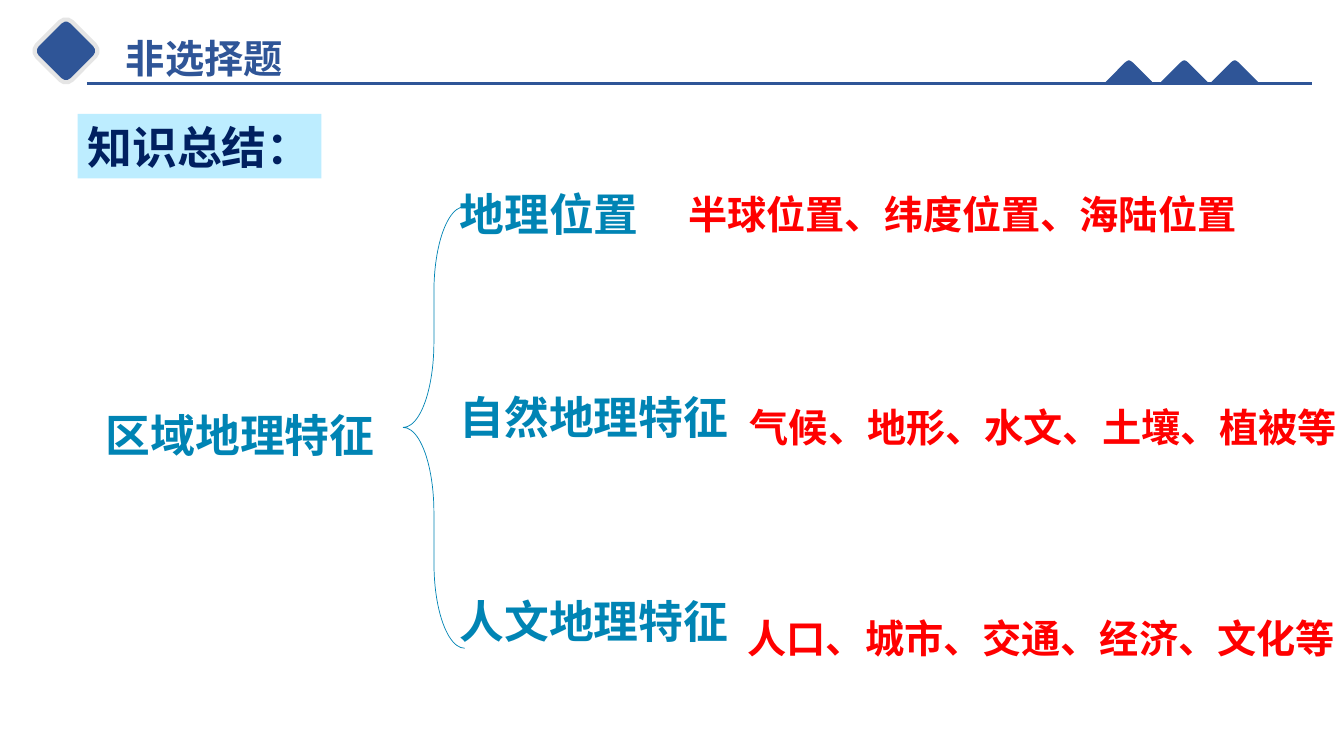
from lxml import etree
from pptx import Presentation
from pptx import util as u
from pptx.dml.color import RGBColor
from pptx.enum import shapes, text
from pptx.oxml.ns import qn

COLORS = {"blue": "2F5597", "grey": "E5E5E5", "teal": "0084B4", "pale": "BDEDFF",
          "navy": "002060", "red": "FF0000"}


class Board:
    """Hold the current slide and its style, and draw each kind of element."""

    def __init__(self, slide, font="Noto Sans CJK SC"):
        self.slide = slide
        self.font = font

    def color(self, name):
        return RGBColor.from_string(COLORS[name])

    def set_text(self, shape, lines, size, color, font=None, gap=0, spacing=None,
                 wrap=True, anchor=text.MSO_ANCHOR.TOP):
        frame = shape.text_frame
        frame.word_wrap = wrap
        frame.auto_size = text.MSO_AUTO_SIZE.NONE
        frame.vertical_anchor = anchor
        for index, line in enumerate(lines):
            paragraph = frame.add_paragraph() if index else frame.paragraphs[0]
            paragraph.alignment = text.PP_ALIGN.LEFT
            paragraph.line_spacing = spacing
            if index:
                paragraph.space_before = u.Pt(gap)
            run = paragraph.add_run()
            run.text = line
            run.font.size = u.Pt(size)
            run.font.bold = True
            run.font.color.rgb = self.color(color)
            run.font.name = font or self.font
            east_asian = etree.SubElement(run.font._element, qn("a:ea"))
            east_asian.set("typeface", font or self.font)

    def title(self, box, line):
        shape = self.slide.shapes.title
        shape.left, shape.top, shape.width, shape.height = map(u.Pt, box)
        self.set_text(shape, [line], 28, "blue", font="Arial", anchor=text.MSO_ANCHOR.MIDDLE)

    def label(self, box, lines, size, color, **style):
        shape = self.slide.shapes.add_textbox(*map(u.Pt, box))
        self.set_text(shape, lines, size, color, **style)

    def paint(self, shape, fill=None, line=None, width=1):
        shape.shadow.inherit = False
        if fill:
            shape.fill.solid()
            shape.fill.fore_color.rgb = self.color(fill)
        else:
            shape.fill.background()
        if line:
            shape.line.color.rgb = self.color(line)
            shape.line.width = u.Pt(width)
        else:
            shape.line.fill.background()

    def preset(self, kind, box, **style):
        shape = self.slide.shapes.add_shape(kind, *map(u.Pt, box))
        self.paint(shape, **style)
        return shape

    def rule(self, start, end, color, width):
        line = self.slide.shapes.add_connector(
            shapes.MSO_CONNECTOR.STRAIGHT, *map(u.Pt, start + end))
        line.line.color.rgb = self.color(color)
        line.line.width = u.Pt(width)
        etree.SubElement(line._element.spPr, qn("a:effectLst"))

    def peak(self, center, base):
        right = [(0.5, 16.6), (1.5, 16.1), (2.8, 15.1), (16.4, 1.5), (17.6, 0)]
        outline = [(-x, y) for x, y in reversed(right)] + right
        points = [(u.Pt(center + x), u.Pt(base - y)) for x, y in outline]
        builder = self.slide.shapes.build_freeform(*points[0])
        builder.add_line_segments(points[1:], close=True)
        self.paint(builder.convert_to_shape(), fill="blue")


def main():
    presentation = Presentation()
    presentation.slide_width, presentation.slide_height = u.Pt(960), u.Pt(540)
    board = Board(presentation.slides.add_slide(presentation.slide_layouts[5]))
    kinds = shapes.MSO_SHAPE

    diamond = board.preset(kinds.ROUNDED_RECTANGLE, (29.5, 18.7, 35.3, 35.3),
                           fill="blue", line="grey", width=3)
    diamond.rotation = 45
    board.rule((62, 59.4), (937.4, 59.4), "blue", 2.25)
    board.title((82.8, 20.9, 130, 41), "非选择题")
    for center in (806.4, 846, 882):
        board.peak(center, 59.8)

    board.label((68.4, 268.6, 260.6, 65.5), ["区域地理特征"], 32, "teal", spacing=1.5)
    board.label((321.1, 129.6, 234, 356.4),
                ["地理位置", "自然地理特征", "人文地理特征"], 32, "teal", gap=107)
    badge = board.preset(kinds.RECTANGLE, (55.4, 81.4, 174.2, 46.1), fill="pale")
    board.set_text(badge, ["知识总结："], 32, "navy", wrap=False,
                   anchor=text.MSO_ANCHOR.MIDDLE)

    details = [(484.6, 132.5, "半球位置、纬度位置、海陆位置"),
               (528.5, 284.4, "气候、地形、水文、土壤、植被等"),
               (527, 435.6, "人口、城市、交通、经济、文化等")]
    for left, top, line in details:
        board.label((left, top, 28 * len(line) + 16, 50), [line], 28, "red")

    brace = board.preset(kinds.LEFT_BRACE, (288, 147.6, 43.9, 315.4), line="teal", width=0.5)
    brace.adjustments[0] = 1.385
    brace.adjustments[1] = 0.5
    presentation.save("out.pptx")


if __name__ == "__main__":
    main()
